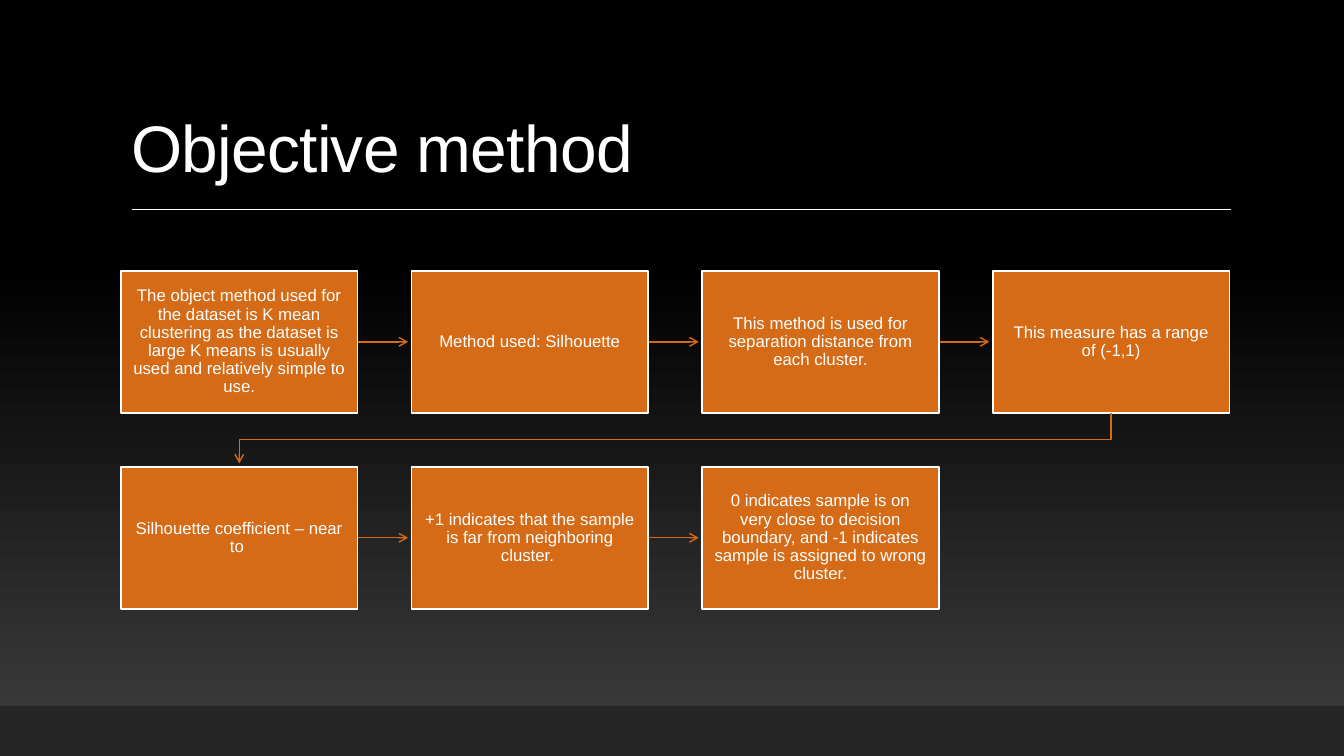
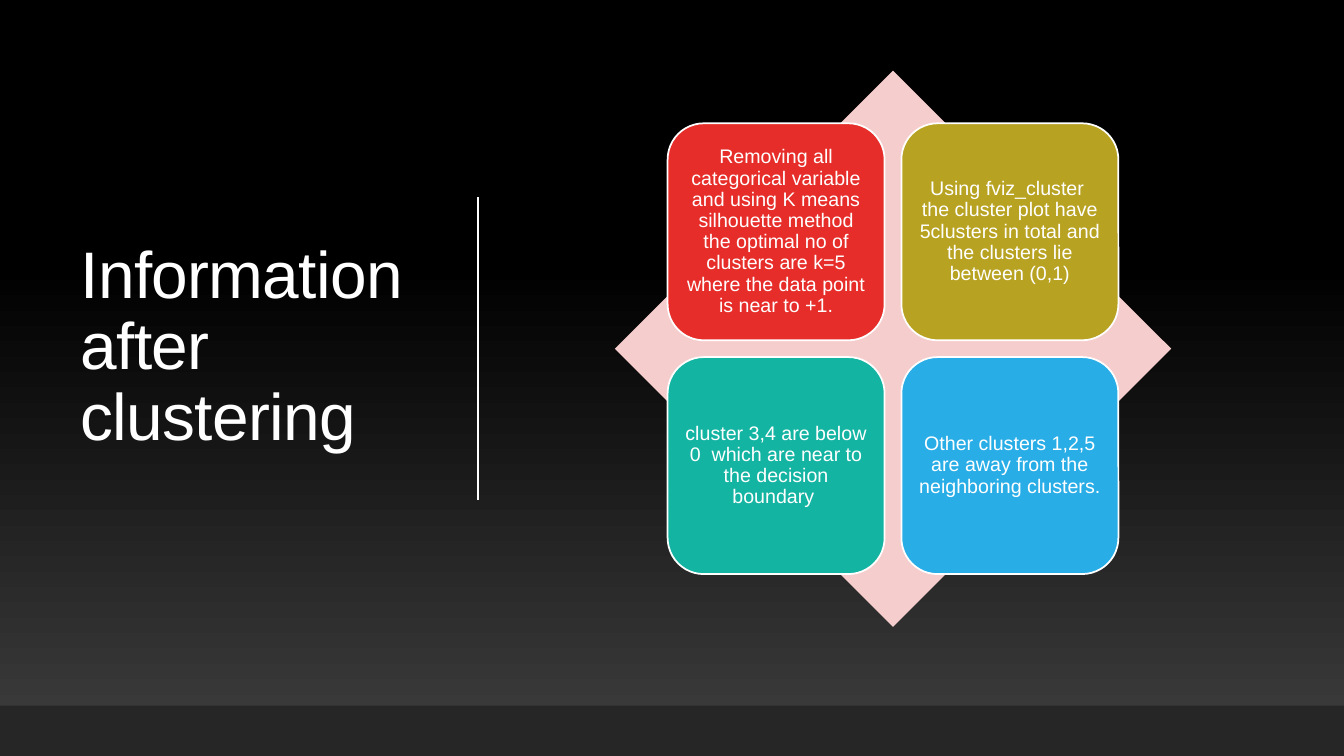
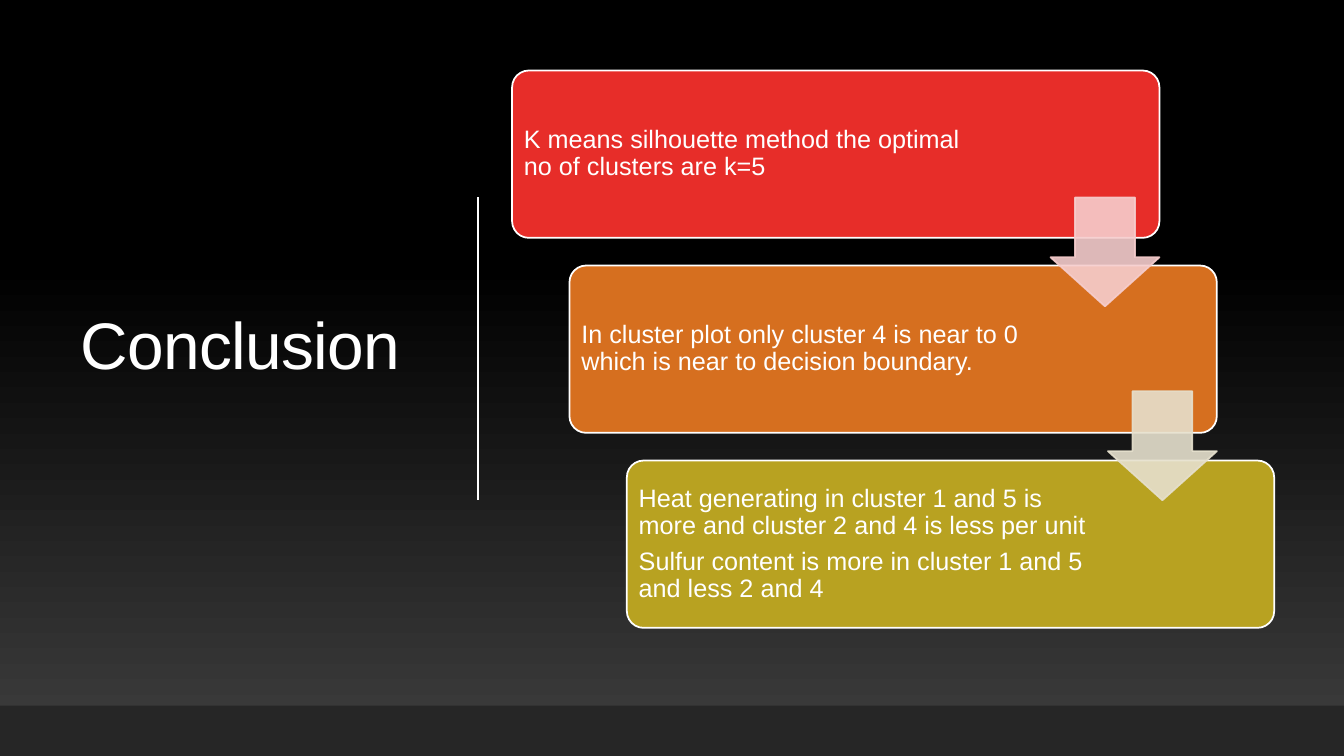
import copy
import pptx
import pptx.dml.color
import pptx.enum.shapes
import pptx.enum.text
import pptx.oxml.ns
import pptx.oxml.xmlchemy
import pptx.util

Pt = pptx.util.Pt
RGB = pptx.dml.color.RGBColor
SHAPE = pptx.enum.shapes.MSO_SHAPE
ALIGN = pptx.enum.text.PP_ALIGN
ANCHOR = pptx.enum.text.MSO_ANCHOR
qn = pptx.oxml.ns.qn
new_tag = pptx.oxml.xmlchemy.OxmlElement

WIDE, HIGH = 960, 540
FONT = "Arial"
WHITE = RGB(0xFF, 0xFF, 0xFF)
BLACK = RGB(0x00, 0x00, 0x00)
GREY = RGB(0x3F, 0x3F, 0x3F)
DARK = RGB(0x26, 0x26, 0x26)
RUST = RGB(0xD5, 0x6A, 0x17)
RED = RGB(0xE7, 0x2D, 0x29)
AMBER = RGB(0xD6, 0x6F, 0x1F)
OLIVE = RGB(0xB8, 0xA2, 0x21)
TEAL = RGB(0x14, 0xB4, 0xA3)
BLUE = RGB(0x29, 0xAD, 0xE7)
PINK = RGB(0xF6, 0xCD, 0xCD)
CREAM = RGB(0xE6, 0xE0, 0xCD)

STEPS = [
    "The object method used for the dataset is K mean clustering as the dataset is large K means is usually used and relatively simple to use.",
    "Method used: Silhouette",
    "This method is used for separation distance from each cluster.",
    "This measure has a range of (-1,1)",
    "Silhouette coefficient – near to ",
    "+1 indicates that the sample is far from neighboring cluster. ",
    "0 indicates sample is on very close to decision boundary, and -1 indicates sample is assigned to wrong cluster.",
]
FACTS = [
    (RED, "Removing all categorical variable and using K means silhouette method the optimal no of clusters are k=5 where the data point is near to +1."),
    (OLIVE, "Using fviz_cluster  the cluster plot have 5clusters in total and the clusters lie between (0,1)"),
    (TEAL, "cluster 3,4 are below 0  which are near to the decision boundary "),
    (BLUE, "Other clusters 1,2,5 are away from the neighboring clusters."),
]
ENDS = [
    (RED, "K means silhouette method the optimal no of clusters are k=5"),
    (AMBER, "In cluster plot only cluster 4 is near to 0 which is near to decision boundary."),
    (OLIVE, "Heat generating in cluster 1 and 5 is more and cluster 2 and 4 is less per unit\n"
            "Sulfur content is more in cluster 1 and 5 and less 2 and 4"),
]


def points(*sizes):
    return [Pt(size) for size in sizes]


def paint_back(master):
    fill = master.background.fill
    fill.gradient()
    fill.gradient_angle = 90
    for stop, color, place in zip(fill.gradient_stops, (GREY, BLACK), (0, 0.65)):
        stop.color.rgb = color
        stop.position = place
    last = list(master.element.cSld.iter(qn("a:gs")))[-1]
    extra = copy.deepcopy(last)
    extra.set("pos", "100000")
    last.addnext(extra)


def set_text(frame, text, size, align, margins, after=0.35, anchor=ANCHOR.MIDDLE):
    frame.text = text
    frame.word_wrap = True
    frame.auto_size = pptx.enum.text.MSO_AUTO_SIZE.NONE
    frame.vertical_anchor = anchor
    (frame.margin_left, frame.margin_top,
     frame.margin_right, frame.margin_bottom) = points(*margins)
    for para in frame.paragraphs:
        para.alignment = align
        para.line_spacing = 0.9
        para.space_before = Pt(0)
        para.space_after = Pt(round(size * after, 1))
        for run in para.runs:
            run.font.name = FONT
            run.font.size = Pt(size)
            run.font.color.rgb = WHITE


def add_box(slide, kind, box, color, edge=None):
    shape = slide.shapes.add_shape(kind, *points(*box))
    shape.shadow.inherit = False
    shape.fill.solid()
    shape.fill.fore_color.rgb = color
    if edge is None:
        shape.line.fill.background()
    else:
        shape.line.color.rgb = edge
        shape.line.width = Pt(1.25)
    return shape


def add_card(slide, kind, box, color, text, size, margins, align=ALIGN.CENTER):
    card = add_box(slide, kind, box, color, WHITE)
    set_text(card.text_frame, text, size, align, margins)
    return card


def add_line(slide, start, end, color):
    line = slide.shapes.add_connector(
        pptx.enum.shapes.MSO_CONNECTOR.STRAIGHT, *points(*start, *end))
    line.line.color.rgb = color
    line.line.width = Pt(1)
    line.element.spPr.append(new_tag("a:effectLst"))
    return line


def add_head(shape):
    tail = new_tag("a:tailEnd")
    tail.set("type", "arrow")
    shape.element.spPr.get_or_add_ln().append(tail)


def add_elbow(slide, start, *rest):
    build = slide.shapes.build_freeform(*points(*start))
    build.add_line_segments([points(*spot) for spot in rest], close=False)
    elbow = build.convert_to_shape()
    elbow.shadow.inherit = False
    elbow.fill.background()
    elbow.line.color.rgb = RUST
    elbow.line.width = Pt(1)
    add_head(elbow)


def fade(shape, share):
    for color in shape.element.spPr.iter(qn("a:srgbClr")):
        alpha = new_tag("a:alpha")
        alpha.set("val", str(share * 1000))
        color.append(alpha)


def add_page(deck, title, box, anchor, rule):
    slide = deck.slides.add_slide(deck.slide_layouts[5])
    head = slide.shapes.title
    head.left, head.top, head.width, head.height = points(*box)
    set_text(head.text_frame, title, 47, ALIGN.LEFT, (7.2, 3.6, 7.2, 3.6), 0, anchor)
    for props in head.element.iter(qn("a:rPr")):
        props.set("spc", "-50")
    add_line(slide, *rule, WHITE)
    add_box(slide, SHAPE.RECTANGLE, (0, 504, WIDE, 36), DARK)
    return slide


def add_side(deck, title):
    return add_page(deck, title, (50.4, 49.7, 265.7, 398.2), ANCHOR.MIDDLE,
                    ((341.5, 141), (341.5, 357)))


def add_flow(deck):
    slide = add_page(deck, "Objective method", (86.4, 22.3, 792, 114.5),
                     ANCHOR.BOTTOM, ((94.3, 149.5), (879, 149.5)))
    left, top, wide, high = 86.4, 193.5, 169, 101.3
    across, down, cols = 207.6, 140, 4
    for num, text in enumerate(STEPS):
        row, col = divmod(num, cols)
        x, y = left + col * across, top + row * down
        if num < len(STEPS) - 1 and col < cols - 1:
            mid = y + high / 2
            add_head(add_line(slide, (x + wide, mid), (x + across - 2.5, mid), RUST))
        add_card(slide, SHAPE.RECTANGLE, (x, y, wide, high), RUST, text, 12,
                 (8.2, 8.7, 8.2, 8.7))
    first = left + wide / 2
    last = first + (cols - 1) * across
    base = top + high
    turn = top + (high + down) / 2
    add_elbow(slide, (last, base), (last, turn), (first, turn),
              (first, top + down - 2.5))


def add_grid(deck):
    slide = add_side(deck, "Information after clustering")
    left, top, span = 439.2, 50.4, 397.4
    size, pitch = 155, 167
    add_box(slide, SHAPE.DIAMOND, (left, top, span, span), PINK)
    inset = (span - size - pitch) / 2
    for num, (color, text) in enumerate(FACTS):
        row, col = divmod(num, 2)
        box = (left + inset + col * pitch, top + inset + row * pitch, size, size)
        add_card(slide, SHAPE.ROUNDED_RECTANGLE, box, color, text, 14, [4.4] * 4)


def add_stairs(deck):
    slide = add_side(deck, "Conclusion")
    left, top, wide, high = 365.8, 50.4, 462.4, 119.5
    across, down, size = 41, 139.3, 77.8
    for num, (color, text) in enumerate(ENDS):
        box = (left + num * across, top + num * down, wide, high)
        card = add_card(slide, SHAPE.ROUNDED_RECTANGLE, box, color, text, 18,
                        (5, 5, 126, 5), ALIGN.LEFT)
        card.adjustments[0] = 0.1
    for num, color in enumerate((PINK, CREAM)):
        box = (left + wide - size + num * across, 141 + num * 138.5, size, size)
        arrow = add_box(slide, SHAPE.DOWN_ARROW, box, color, color)
        arrow.adjustments[0] = 0.55
        arrow.adjustments[1] = 0.45
        fade(arrow, 90)


def main():
    deck = pptx.Presentation()
    deck.slide_width, deck.slide_height = points(WIDE, HIGH)
    paint_back(deck.slide_master)
    add_flow(deck)
    add_grid(deck)
    add_stairs(deck)
    deck.save("out.pptx")


if __name__ == "__main__":
    main()
